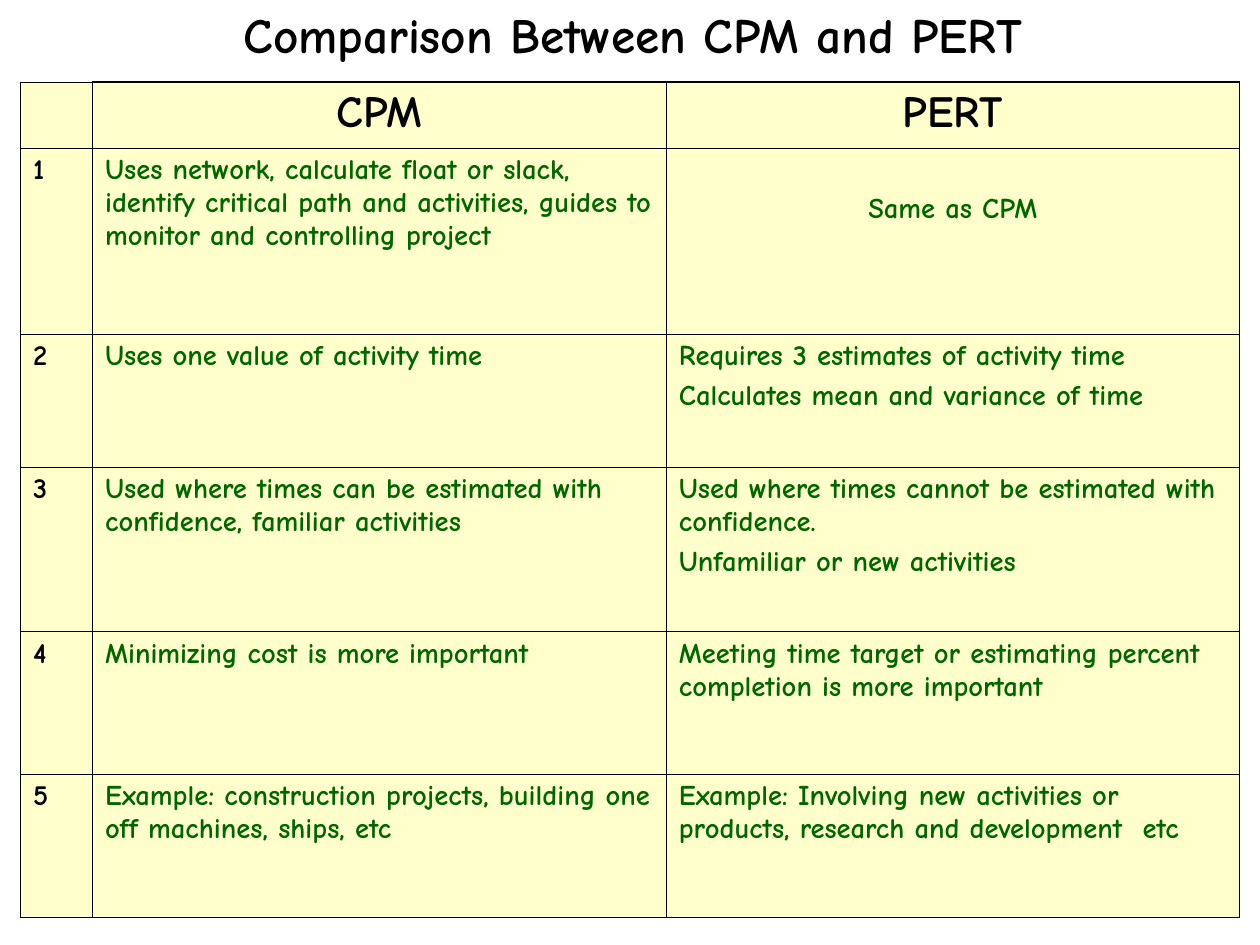
import pptx
import pptx.util
import pptx.dml.color
import pptx.enum.text
import pptx.oxml
import pptx.oxml.ns

COLORS = {"ink": "000000", "body": "006600", "cell": "FFFFCC"}
ALIGN = pptx.enum.text.PP_ALIGN
ANCHOR = pptx.enum.text.MSO_ANCHOR
THIN, THICK = 0.45, 1.08

prs = pptx.Presentation()
prs.slide_width = pptx.util.Cm(28)
prs.slide_height = pptx.util.Cm(21)
U = pptx.util.Inches(0.01)

columns = [63, 502, 501.5]
rows = [58, 162.7, 116.5, 143.8, 125, 125]
content = [
    ["", "CPM", "PERT"],
    ["1", "Uses network, calculate float or slack, identify critical path and activities, guides to monitor and controlling project", "Same as CPM"],
    ["2", "Uses one value of activity time", "Requires 3 estimates of activity time\nCalculates mean and variance of time"],
    ["3", "Used where times can be estimated with confidence, familiar activities", "Used where times cannot be estimated with confidence.\nUnfamiliar or new activities"],
    ["4", "Minimizing cost is more important", "Meeting time target or estimating percent completion is more important"],
    ["5", "Example: construction projects, building one off machines, ships, etc", "Example: Involving new activities or products, research and development  etc"],
]


def write(tf, text, size, color, **paragraph_format):
    tf.text = text
    for p in tf.paragraphs:
        for name, value in paragraph_format.items():
            setattr(p, name, value)
        for r in p.runs:
            font = {"name": "Comic Neue", "size": pptx.util.Pt(size), "bold": True}
            for name, value in font.items():
                setattr(r.font, name, value)
            r.font.color.rgb = pptx.dml.color.RGBColor.from_string(COLORS[color])


def add_borders(cell, widths):
    tcPr = cell._tc.get_or_add_tcPr()
    for i, (side, width) in enumerate(widths.items()):
        ln = pptx.oxml.parse_xml(
            f'<a:ln{side} {pptx.oxml.ns.nsdecls("a")} w="{pptx.util.Pt(width)}">'
            f'<a:solidFill><a:srgbClr val="{COLORS["ink"]}"/></a:solidFill></a:ln{side}>')
        tcPr.insert(i, ln)


s = prs.slides.add_slide(prs.slide_layouts[6])

sp = s.shapes.add_textbox(85 * U, 0, 937 * U, 65 * U)
tf = sp.text_frame
frame = {"word_wrap": True, "vertical_anchor": ANCHOR.MIDDLE, "margin_left": 0,
         "margin_top": 0, "margin_right": 0, "margin_bottom": 0}
for name, value in frame.items():
    setattr(tf, name, value)
write(tf, "Comparison Between CPM and PERT", 31, "ink", alignment=ALIGN.CENTER, line_spacing=0.92)

table = s.shapes.add_table(len(rows), len(columns), 18 * U, round(71.6 * U),
                           round(sum(columns) * U), round(sum(rows) * U)).table
table.first_row = table.horz_banding = False
for column, width in zip(table.columns, columns):
    column.width = round(width * U)
for row, height in zip(table.rows, rows):
    row.height = round(height * U)

for i, texts in enumerate(content):
    for j, text in enumerate(texts):
        cell = table.cell(i, j)
        header, same = i == 0, text == "Same as CPM"
        margins = {"margin_left": 11, "margin_right": 11,
                   "margin_top": 39 if same else 5, "margin_bottom": 5}
        for name, value in margins.items():
            setattr(cell, name, value * U)
        cell.fill.solid()
        cell.fill.fore_color.rgb = pptx.dml.color.RGBColor.from_string(COLORS["cell"])
        add_borders(cell, {
            "L": THICK if j == 0 else THIN,
            "R": THICK if j == len(columns) - 1 else THIN,
            "T": THICK if header and j > 0 else THIN,
            "B": THICK if i == len(rows) - 1 else THIN,
        })
        write(cell.text_frame, text, 28 if header else 18, "ink" if header or j == 0 else "body",
              alignment=ALIGN.CENTER if header or same else ALIGN.LEFT,
              space_before=pptx.util.Pt(7 if header else 4.5))

prs.save("out.pptx")
